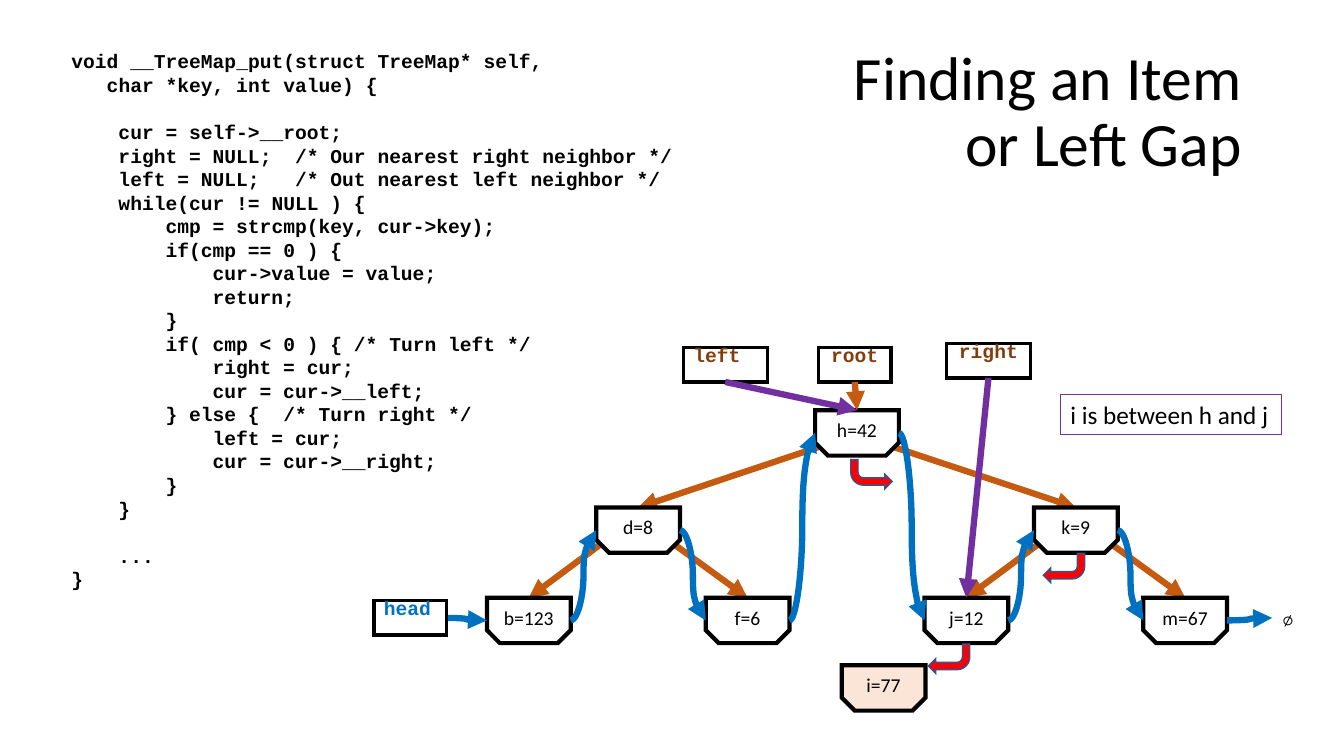
from dataclasses import dataclass
from itertools import pairwise

from lxml.etree import SubElement
from pptx import Presentation
from pptx.dml.color import RGBColor
from pptx.enum.shapes import MSO_CONNECTOR as Connector, MSO_SHAPE as Preset
from pptx.enum.text import MSO_ANCHOR as Anchor, MSO_AUTO_SIZE as AutoSize, PP_ALIGN as Align
from pptx.oxml.ns import qn
from pptx.util import Inches, Pt

COLORS = {
    "black": "000000", "white": "FFFFFF", "peach": "FBE5D6", "orange": "C55A11",
    "brown": "843C0B", "blue": "0070C0", "purple": "7030A0", "red": "FF0000", "navy": "325491",
}
WIDTH, HEIGHT = Inches(13.33), Inches(7.5)

# All places and sizes below are percentages of the slide's width and height.
NODE_WIDTH, NODE_HEIGHT = 6.23, 6
FIRST_COLUMN, COLUMN_STEP = 36.23, 8.14
ROW_TOPS = (54.27, 67.13, 79.07)
LABEL_HEIGHT = 4.53
CODE_PITCH = Pt(16.83)
CODE_CHARACTER = Pt(8.4)

CODE = """\
void __TreeMap_put(struct TreeMap* self,
   char *key, int value) {

    cur = self->__root;
    right = NULL;  /* Our nearest right neighbor */
    left = NULL;   /* Out nearest left neighbor */
    while(cur != NULL ) {
        cmp = strcmp(key, cur->key);
        if(cmp == 0 ) {
            cur->value = value;
            return;
        }
        if( cmp < 0 ) { /* Turn left */
            right = cur;
            cur = cur->__left;
        } else {  /* Turn right */
            left = cur;
            cur = cur->__right;
        }
    }

    ...
}"""

CODE_FONT = {"name": "Courier New", "size": Pt(14), "bold": True}
NODE_FONT = {"name": "Calibri", "size": Pt(14)}
NOTE_FONT = {"name": "Calibri", "size": Pt(18)}
TITLE_FONT = {"name": "Calibri", "size": Pt(44)}
NULL_FONT = {"name": "Courier New", "size": Pt(14)}


@dataclass(frozen=True)
class Box:
    left: float
    top: float
    width: float
    height: float

    def point(self, across: float, down: float) -> tuple[float, float]:
        """Give the point at these shares of the box's width and height."""
        return self.left + across * self.width, self.top + down * self.height

    def lengths(self) -> tuple[int, int, int, int]:
        return (*to_lengths(self.left, self.top), *to_lengths(self.width, self.height))


@dataclass(frozen=True)
class Label:
    text: str
    box: Box
    color: str = "brown"
    align: Align = Align.CENTER


@dataclass(frozen=True)
class Turn:
    left: float
    top: float
    flips: tuple[str, ...] = ("flipH", "flipV")


def to_lengths(x: float, y: float) -> tuple[int, int]:
    return round(WIDTH * x / 100), round(HEIGHT * y / 100)


def tree_box(column: int, row: int) -> Box:
    return Box(FIRST_COLUMN + column * COLUMN_STEP, ROW_TOPS[row], NODE_WIDTH, NODE_HEIGHT)


NODES = {
    text: tree_box(column, row)
    for column, (text, row) in enumerate(
        [("b=123", 2), ("d=8", 1), ("f=6", 2), ("h=42", 0), ("j=12", 2), ("k=9", 1), ("m=67", 2)])
}
BRANCHES = {"h=42": ("d=8", "k=9"), "d=8": ("b=123", "f=6"), "k=9": ("j=12", "m=67")}
NEW_NODE = Box(62.63, 88, NODE_WIDTH, NODE_HEIGHT)
HEAD = Label("head", Box(27.83, 79.47, 5.4, LABEL_HEIGHT), "blue", Align.LEFT)
ROOT = Label("root", Box(60.9, 46, 5.4, LABEL_HEIGHT))
RIGHT = Label("right", Box(70.43, 45.47, NODE_WIDTH, LABEL_HEIGHT))
LEFT = Label("left", Box(50.85, 46, NODE_WIDTH, LABEL_HEIGHT), align=Align.LEFT)
POINTERS = [(ROOT, "h=42", "orange"), (RIGHT, "j=12", "purple"), (LEFT, "h=42", "purple")]
NULL_BOX = Box(94.65, 79.47, 1.8, LABEL_HEIGHT)
TURNS = [Turn(63.3, 60.8, ("flipV",)), Turn(69.08, 85.2), Turn(77.63, 73.2)]


def rgb(name: str) -> RGBColor:
    return RGBColor.from_string(COLORS[name])


def format_paragraph(paragraph, text: str, font: dict, color: str = "black", align=Align.LEFT) -> None:
    paragraph.alignment = align
    run = paragraph.add_run()
    run.text = text
    for attribute, value in font.items():
        setattr(run.font, attribute, value)
    run.font.color.rgb = rgb(color)


def add_outlined(shapes, preset, box: Box, line: str, points: float, fill: str = ""):
    shape = shapes.add_shape(preset, *box.lengths())
    shape.shadow.inherit = False
    if fill:
        shape.fill.solid()
        shape.fill.fore_color.rgb = rgb(fill)
    else:
        shape.fill.background()
    shape.line.color.rgb = rgb(line)
    shape.line.width = Pt(points)
    SubElement(shape.line._get_or_add_ln(), qn("a:miter"), lim="800000")
    return shape


def add_node(shapes, text: str, box: Box, fill: str = "white") -> None:
    shape = add_outlined(shapes, Preset.SNIP_2_SAME_RECTANGLE, box, "black", 3, fill)
    shape.adjustments[0], shape.adjustments[1] = 0, 0.286
    shape.text_frame.vertical_anchor = Anchor.MIDDLE
    format_paragraph(shape.text_frame.paragraphs[0], text, NODE_FONT, align=Align.CENTER)


def add_label(shapes, label: Label) -> None:
    frame = add_outlined(shapes, Preset.RECTANGLE, label.box, "black", 2.25).text_frame
    frame.vertical_anchor, frame.margin_top = Anchor.TOP, 0
    frame.paragraphs[0].line_spacing = 0.8
    format_paragraph(frame.paragraphs[0], label.text, CODE_FONT, label.color, label.align)


def add_arrow(shapes, start, end, color: str, kind=Connector.STRAIGHT) -> None:
    connector = shapes.add_connector(kind, *to_lengths(*start), *to_lengths(*end))
    connector.line.color.rgb = rgb(color)
    connector.line.width = Pt(4.5)
    SubElement(connector.line._get_or_add_ln(), qn("a:tailEnd"), type="triangle")
    SubElement(connector._element.spPr, qn("a:effectLst"))


def add_turn(shapes, turn: Turn) -> None:
    box = Box(turn.left, turn.top, 3.08, 3.87)
    shape = add_outlined(shapes, Preset.BENT_ARROW, box, "navy", 1, "red")
    for flip in turn.flips:
        shape._element.spPr.find(qn("a:xfrm")).set(flip, "1")


def add_title(shapes) -> None:
    title = shapes.title
    title.left, title.top, title.width, title.height = Box(62.63, 5.33, 30.53, 19.33).lengths()
    frame = title.text_frame
    frame.auto_size, frame.vertical_anchor = AutoSize.NONE, Anchor.MIDDLE
    frame.paragraphs[0].line_spacing = 0.9
    format_paragraph(frame.paragraphs[0], "Finding an Item or Left Gap", TITLE_FONT, align=Align.RIGHT)


def add_code(shapes) -> None:
    """Set the listing, turning its indents and empty lines into paragraph formats."""
    frame = shapes.add_textbox(*Box(4.58, 5.87, 46.28, 76.8).lengths()).text_frame
    frame.word_wrap = True
    previous = "start"
    for number, line in enumerate(CODE.splitlines()):
        if line:
            paragraph = frame.add_paragraph() if number else frame.paragraphs[0]
            paragraph.line_spacing = CODE_PITCH
            paragraph.space_before = Pt(0) if previous else CODE_PITCH
            text = line.lstrip()
            format_paragraph(paragraph, text, CODE_FONT)
            indent = CODE_CHARACTER * (len(line) - len(text))
            paragraph._p.get_or_add_pPr().set("marL", str(indent))
        previous = line


def add_tree(shapes) -> None:
    for parent, children in BRANCHES.items():
        for child, across in zip(children, (0.06, 0.92)):
            add_arrow(shapes, NODES[parent].point(across, 0.8), NODES[child].point(0.5, 0), "orange")
    for text, box in NODES.items():
        add_node(shapes, text, box)
    add_node(shapes, "i=77", NEW_NODE, "peach")
    for source, target in pairwise([HEAD.box, *NODES.values(), NULL_BOX]):
        add_arrow(shapes, source.point(1, 0.5), target.point(0, 0.5), "blue", Connector.CURVE)
    for label in (HEAD, ROOT, RIGHT, LEFT):
        add_label(shapes, label)
    for label, node, color in POINTERS:
        add_arrow(shapes, label.box.point(0.5, 1), NODES[node].point(0.5, 0), color)
    for turn in TURNS:
        add_turn(shapes, turn)


def add_notes_on_tree(shapes) -> None:
    null_frame = shapes.add_textbox(*NULL_BOX.lengths()).text_frame
    null_frame.word_wrap, null_frame.vertical_anchor = True, Anchor.MIDDLE
    format_paragraph(null_frame.paragraphs[0], "∅", NULL_FONT)
    note = add_outlined(shapes, Preset.RECTANGLE, Box(78.9, 52.13, 16.43, 5.33), "purple", 0.75)
    note.text_frame.word_wrap, note.text_frame.vertical_anchor = False, Anchor.TOP
    format_paragraph(note.text_frame.paragraphs[0], "i is between h and j", NOTE_FONT)


def main() -> None:
    presentation = Presentation()
    presentation.slide_width, presentation.slide_height = WIDTH, HEIGHT
    shapes = presentation.slides.add_slide(presentation.slide_layouts[5]).shapes
    for draw in (add_title, add_code, add_tree, add_notes_on_tree):
        draw(shapes)
    presentation.save("out.pptx")


if __name__ == "__main__":
    main()
